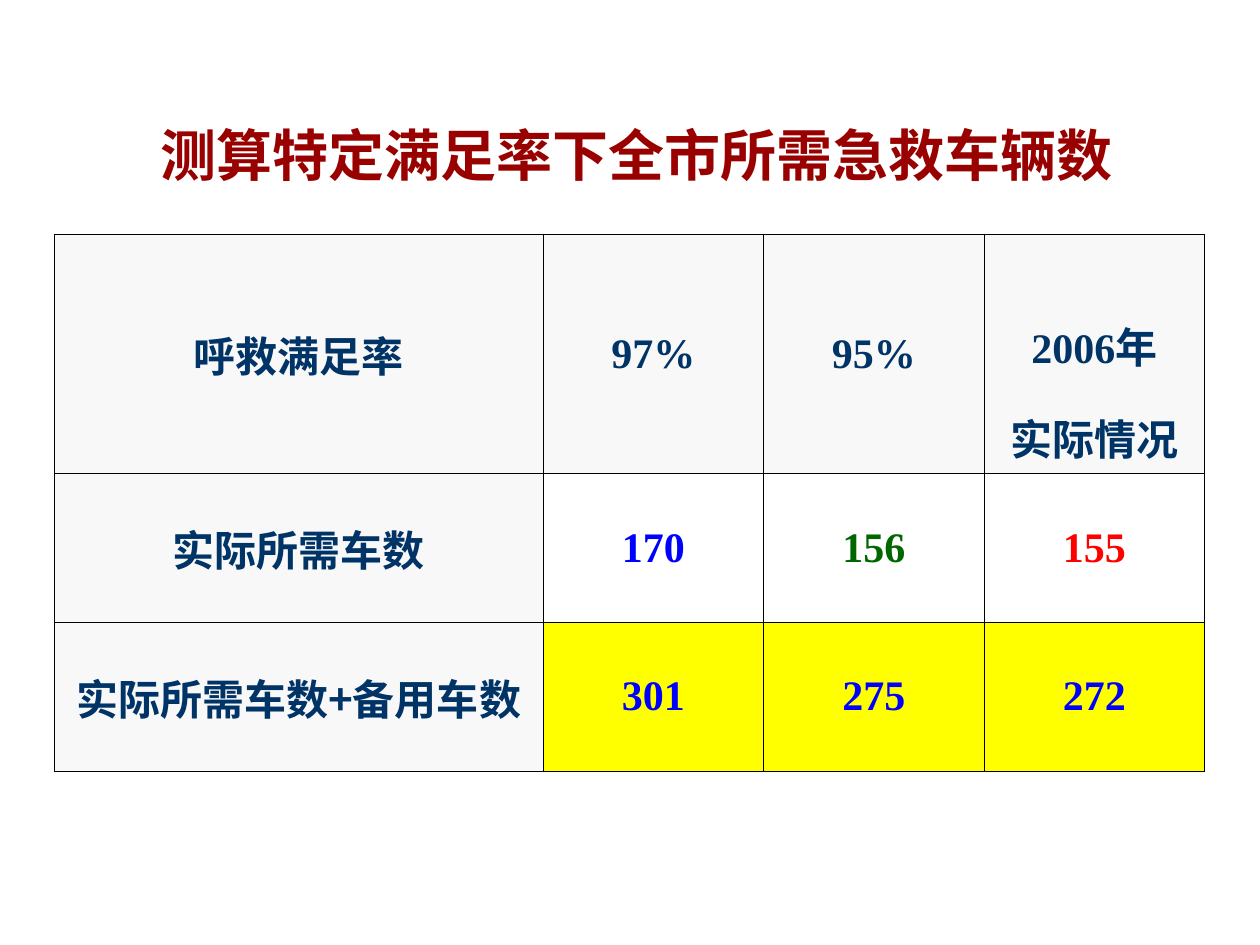
from lxml.etree import SubElement
from pptx import Presentation
from pptx.dml.color import RGBColor
from pptx.enum.text import MSO_ANCHOR, PP_ALIGN
from pptx.oxml.ns import qn
from pptx.util import Inches, Pt

CHINESE_FONT = "Noto Sans CJK SC"
NUMBER_FONT = "Times New Roman"
RED_BROWN, NAVY, BLUE, GREEN, RED = "990000", "003366", "0000FF", "006600", "FF0000"
GREY, WHITE, YELLOW, BLACK = "F8F8F8", "FFFFFF", "FFFF00", "000000"


def color(value):
    return RGBColor.from_string(value)


class SlideBuilder:
    def __init__(self, slide):
        self.slide = slide

    def add_span(self, para, text, size, text_color, font):
        para.alignment = PP_ALIGN.CENTER
        span = para.add_run()
        span.text = text
        span.font.size = Pt(size)
        span.font.bold = True
        span.font.name = font
        span.font.color.rgb = color(text_color)
        SubElement(span.font._element, qn("a:ea"), typeface=CHINESE_FONT)

    def title(self, text, left, top, width, height):
        box = self.slide.shapes.add_textbox(
            Inches(left), Inches(top), Inches(width), Inches(height))
        box.text_frame.word_wrap = True
        self.add_span(box.text_frame.paragraphs[0], text, 32, RED_BROWN, CHINESE_FONT)

    def border(self, cell):
        properties = cell._tc.get_or_add_tcPr()
        for side in ("a:lnL", "a:lnR", "a:lnT", "a:lnB"):
            line = SubElement(properties, qn(side), w=str(Pt(0.45)))
            fill = SubElement(line, qn("a:solidFill"))
            SubElement(fill, qn("a:srgbClr"), val=BLACK)

    def fill_cell(self, cell, text, text_color, fill, font):
        self.border(cell)
        cell.fill.solid()
        cell.fill.fore_color.rgb = color(fill)
        lines = text.split("\n")
        several = len(lines) > 1
        cell.vertical_anchor = MSO_ANCHOR.BOTTOM if several else MSO_ANCHOR.MIDDLE
        frame = cell.text_frame
        for index, line in enumerate(lines):
            para = frame.add_paragraph() if index else frame.paragraphs[0]
            if several:
                para.line_spacing = 1.5
            self.add_span(para, line, 24, text_color, font)

    def table(self, rows, left, top, widths, heights):
        """Each cell in rows is a tuple of text, text colour and fill."""
        table = self.slide.shapes.add_table(
            len(heights), len(widths), Inches(left), Inches(top),
            Inches(sum(widths)), Inches(sum(heights))).table
        for column, width in zip(table.columns, widths):
            column.width = Inches(width)
        for row, height in zip(table.rows, heights):
            row.height = Inches(height)
        for row, contents in zip(table.rows, rows):
            for index, (cell, content) in enumerate(zip(row.cells, contents)):
                self.fill_cell(cell, *content, NUMBER_FONT if index else CHINESE_FONT)


def main():
    deck = Presentation()
    deck.slide_width, deck.slide_height = Inches(10), Inches(7.5)
    builder = SlideBuilder(deck.slides.add_slide(deck.slide_layouts[6]))
    builder.title("测算特定满足率下全市所需急救车辆数", 0.31, 0.91, 9.49, 0.64)
    headings = ["呼救满足率", "97%", "95%", "2006年\n实际情况"]
    rows = [
        [(heading, NAVY, GREY) for heading in headings],
        [("实际所需车数", NAVY, GREY), ("170", BLUE, WHITE),
         ("156", GREEN, WHITE), ("155", RED, WHITE)],
        [("实际所需车数+备用车数", NAVY, GREY)]
        + [(total, BLUE, YELLOW) for total in ("301", "275", "272")],
    ]
    builder.table(rows, 0.43, 1.86, [3.88] + [1.75] * 3, [1.9, 1.18, 1.18])
    deck.save("out.pptx")


if __name__ == "__main__":
    main()
